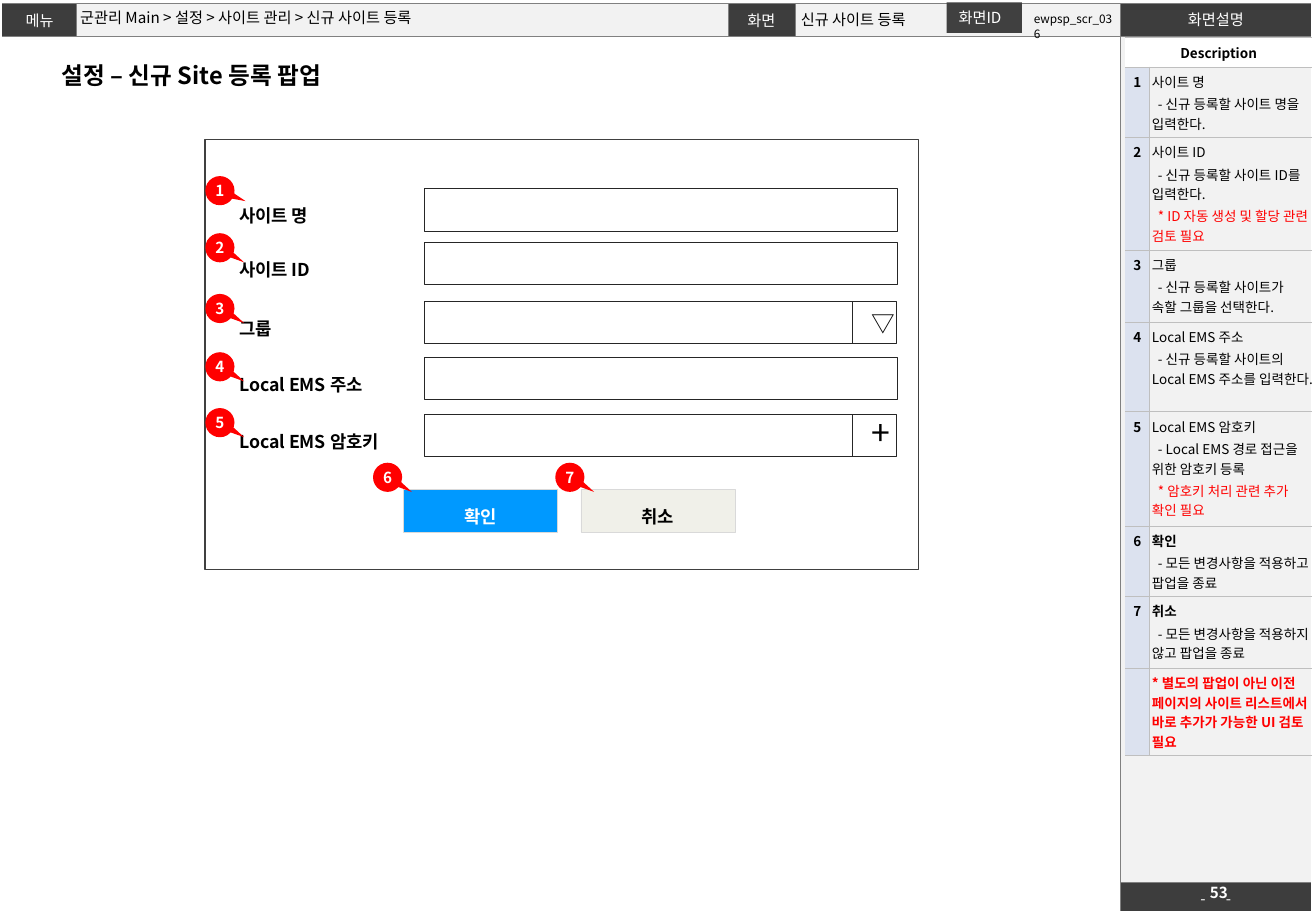
from dataclasses import dataclass

from lxml.etree import SubElement
from pptx import Presentation
from pptx.dml.color import RGBColor
from pptx.enum.shapes import MSO_SHAPE
from pptx.enum.text import MSO_ANCHOR, MSO_AUTO_SIZE, PP_ALIGN
from pptx.oxml.ns import qn
from pptx.util import Inches, Pt


@dataclass(frozen=True)
class Theme:
    font: str = "Noto Sans CJK KR"
    header_font: str = "Arial"
    black: str = "000000"
    white: str = "FFFFFF"
    dark: str = "3D3D3D"
    tag: str = "404040"
    panel: str = "F2F2F2"
    number: str = "DCE2EF"
    red: str = "FF0000"
    confirm: str = "0099FF"
    cancel: str = "F0F0E9"
    frame_line: str = "808080"
    table_line: str = "BFBFBF"
    field_line: str = "262626"
    button_line: str = "D9D9D9"
    id_size: float = 7
    note_size: float = 8
    body_size: float = 9
    label_size: float = 10.5
    title_size: float = 14
    plus_size: float = 20


THEME = Theme()

# Label, field top, callout top, symbol of the end button
FIELDS = [
    ("사이트 명", 1.55, 1.45, None),
    ("사이트 ID", 1.99, 1.92, None),
    ("그룹", 2.48, 2.42, "▽"),
    ("Local EMS 주소", 2.94, 2.90, None),
    ("Local EMS 암호키", 3.41, 3.36, "+"),
]
SYMBOLS = {"▽": (2.49, 0.34, THEME.title_size), "+": (3.34, 0.44, THEME.plus_size)}

# Row height, heading, heading is bold, details
DESCRIPTIONS = [
    (0.58, "사이트 명", False, ["- 신규 등록할 사이트 명을 입력한다."]),
    (0.93, "사이트 ID", False, ["- 신규 등록할 사이트 ID를 입력한다.", "* ID 자동 생성 및 할당 관련 검토 필요"]),
    (0.59, "그룹", False, ["- 신규 등록할 사이트가 속할 그룹을 선택한다."]),
    (0.74, "Local EMS 주소", False, ["- 신규 등록할 사이트의 Local EMS 주소를 입력한다."]),
    (0.94, "Local EMS 암호키", False, ["- Local EMS 경로 접근을 위한 암호키 등록", "* 암호키 처리 관련 추가 확인 필요"]),
    (0.58, "확인", True, ["- 모든 변경사항을 적용하고 팝업을 종료"]),
    (0.59, "취소", True, ["- 모든 변경사항을 적용하지 않고 팝업을 종료"]),
]
CLOSING_NOTE = "* 별도의 팝업이 아닌 이전 페이지의 사이트 리스트에서 바로 추가가 가능한 UI 검토 필요"


def write(paragraph, text, size, color=THEME.black, bold=False, align=None, font=THEME.font):
    paragraph.text = text
    paragraph.alignment = align
    for run in paragraph.runs:
        run.font.size = Pt(size)
        run.font.bold = bold
        run.font.name = font
        run.font.color.rgb = RGBColor.from_string(color)
        SubElement(run.font._element, qn("a:ea"), typeface=font)
    if not text:
        SubElement(paragraph._p, qn("a:endParaRPr"), sz=str(int(size * 100)))


def set_margins(target, horizontal, vertical):
    target.margin_left = target.margin_right = Inches(horizontal)
    target.margin_top = target.margin_bottom = Inches(vertical)


def add_text(slide, box, text, size, margin=None, anchor=MSO_ANCHOR.TOP, grow=False,
             spacing=None, **style):
    shape = slide.shapes.add_textbox(*map(Inches, box))
    frame = shape.text_frame
    frame.word_wrap = True
    frame.vertical_anchor = anchor
    if margin is not None:
        set_margins(frame, margin, 0)
    if grow:
        frame.auto_size = MSO_AUTO_SIZE.SHAPE_TO_FIT_TEXT
    write(frame.paragraphs[0], text, size, **style)
    frame.paragraphs[0].line_spacing = spacing


def add_box(slide, box, fill=None, line=None, line_width=0.25, kind=MSO_SHAPE.RECTANGLE):
    shape = slide.shapes.add_shape(kind, *map(Inches, box))
    shape.shadow.inherit = False
    if fill:
        shape.fill.solid()
        shape.fill.fore_color.rgb = RGBColor.from_string(fill)
    else:
        shape.fill.background()
    if line:
        shape.line.color.rgb = RGBColor.from_string(line)
        shape.line.width = Pt(line_width)
    else:
        shape.line.fill.background()
    shape.text_frame.vertical_anchor = MSO_ANCHOR.TOP
    return shape


def add_table(slide, left, top, widths, heights):
    shape = slide.shapes.add_table(len(heights), len(widths), Inches(left), Inches(top),
                                   Inches(sum(widths)), Inches(sum(heights)))
    table = shape.table
    table.first_row = table.horz_banding = False
    for column, width in zip(table.columns, widths):
        column.width = Inches(width)
    for row, height in zip(table.rows, heights):
        row.height = Inches(height)
    return table


def style_cell(cell, fill, sides, line, margin):
    set_margins(cell, margin, 0.04)
    properties = cell._tc.get_or_add_tcPr()
    for side in "LRTB":
        border = SubElement(properties, qn(f"a:ln{side}"), w=str(Pt(0.25)))
        if side in sides:
            SubElement(SubElement(border, qn("a:solidFill")), qn("a:srgbClr"), val=line)
        else:
            SubElement(border, qn("a:noFill"))
    if fill:
        cell.fill.solid()
        cell.fill.fore_color.rgb = RGBColor.from_string(fill)
    else:
        cell.fill.background()


def add_page_frame(slide):
    table = add_table(slide, 0.02, 0.03, [0.61, 5.36, 0.55, 2.68, 1.57], [0.27, 6.96, 0.24])
    header = ["메뉴", "", "화면", "", "화면설명"]
    for row in range(3):
        for column in range(5):
            cell = table.cell(row, column)
            last = column == 4
            if row == 0:
                text, fill = header[column], THEME.dark if header[column] else THEME.panel
                sides = "LTB" if last else "TRB" if column == 0 else "LTRB"
            elif last:
                text, fill, sides = ("", THEME.panel, "LTB") if row == 1 else ("- -", THEME.dark, "LTB")
            else:
                text, fill, sides = "", THEME.white, "TR" if row == 1 else "RB"
            style_cell(cell, fill, sides, THEME.frame_line, 0.04)
            cell.vertical_anchor = MSO_ANCHOR.MIDDLE
            font = THEME.header_font if text == "화면설명" else THEME.font
            write(cell.text_frame.paragraphs[0], text, THEME.body_size, THEME.white,
                  align=PP_ALIGN.CENTER, font=font)
        if row:
            table.cell(row, 0).merge(table.cell(row, 3))
    # Spread the two dashes around the page number
    dashes = table.cell(2, 4).text_frame.paragraphs[0].runs[0]
    dashes.font._element.set("spc", "500")


def add_descriptions(slide):
    heights = [0.24] + [entry[0] for entry in DESCRIPTIONS] + [0.72]
    table = add_table(slide, 9.26, 0.31, [0.2, 1.34], heights)
    for row in range(len(heights)):
        for column in range(2):
            fill = THEME.white if row == 0 else None if column else THEME.number
            style_cell(table.cell(row, column), fill, "LTB" if row and column else "TB",
                       THEME.table_line, 0.02)
    title = table.cell(0, 0)
    title.merge(table.cell(0, 1))
    title.vertical_anchor = MSO_ANCHOR.MIDDLE
    size = THEME.note_size
    write(title.text_frame.paragraphs[0], "Description", size, bold=True, align=PP_ALIGN.CENTER)
    for row, (_, heading, bold, details) in enumerate(DESCRIPTIONS, 1):
        write(table.cell(row, 0).text_frame.paragraphs[0], str(row), size, bold=True,
              align=PP_ALIGN.CENTER)
        frame = table.cell(row, 1).text_frame
        write(frame.paragraphs[0], heading, size, bold=bold)
        for detail in details:
            paragraph = frame.add_paragraph()
            write(paragraph, detail, size, THEME.red if detail.startswith("*") else THEME.black)
            paragraph.space_before = Pt(1.5)
            paragraph._p.get_or_add_pPr().set("indent", str(Inches(0.05)))
    write(table.cell(len(heights) - 1, 1).text_frame.paragraphs[0], CLOSING_NOTE, size,
          THEME.red, bold=True)


def add_header_texts(slide):
    middle = MSO_ANCHOR.MIDDLE
    add_text(slide, (9.78, 7.25, 0.5, 0.19), "53", THEME.body_size, margin=0, anchor=middle,
             color=THEME.white, bold=True, align=PP_ALIGN.CENTER)
    add_text(slide, (0.66, 0.07, 5.28, 0.15), "군관리 Main > 설정 > 사이트 관리 > 신규 사이트 등록",
             THEME.body_size, margin=0, anchor=middle)
    add_text(slide, (6.59, 0.05, 1.35, 0.22), "신규 사이트 등록", THEME.body_size,
             margin=0, anchor=middle)
    tag = add_box(slide, (7.79, 0.02, 0.62, 0.25), THEME.tag)
    write(tag.text_frame.paragraphs[0], "화면ID", THEME.body_size, THEME.white, align=PP_ALIGN.LEFT)
    add_text(slide, (8.41, 0.05, 0.87, 0.22), "ewpsp_scr_036", THEME.id_size, grow=True)
    add_text(slide, (0.41, 0.45, 3.35, 0.34), "설정 – 신규 Site 등록 팝업", THEME.title_size,
             grow=True, bold=True)


def add_field(slide, label, top, symbol):
    add_text(slide, (1.87, top, 1.46, 0.35), label, THEME.label_size, spacing=1.5, bold=True)
    add_box(slide, (3.49, top, 3.52 if symbol else 3.89, 0.35), THEME.white, THEME.field_line)
    if symbol:
        add_box(slide, (7.01, top, 0.37, 0.35), line=THEME.field_line)
        symbol_top, height, size = SYMBOLS[symbol]
        add_text(slide, (7.07, symbol_top, 0.24, height), symbol, size, anchor=MSO_ANCHOR.MIDDLE,
                 grow=True, align=PP_ALIGN.CENTER)


def add_button(slide, left, text, fill, color):
    paragraph = add_box(slide, (left, 4.03, 1.27, 0.35), fill, THEME.button_line).text_frame.paragraphs[0]
    write(paragraph, text, THEME.label_size, color, bold=True, align=PP_ALIGN.CENTER)
    paragraph.line_spacing = 1.5


def add_callout(slide, number, left, top):
    shape = add_box(slide, (left, top, 0.24, 0.24), THEME.red, kind=MSO_SHAPE.OVAL_CALLOUT)
    shape.adjustments[0], shape.adjustments[1] = (0.88, 0.36) if number == 1 else (0.83, 0.5)
    set_margins(shape.text_frame, 0, 0.05)
    shape.text_frame.vertical_anchor = MSO_ANCHOR.MIDDLE
    write(shape.text_frame.paragraphs[0], str(number), THEME.body_size, THEME.white, bold=True,
          align=PP_ALIGN.CENTER)


def main():
    presentation = Presentation()
    presentation.slide_width, presentation.slide_height = Inches(10.83), Inches(7.5)
    slide = presentation.slides.add_slide(presentation.slide_layouts[6])

    # Page frame and description column
    add_page_frame(slide)
    add_header_texts(slide)
    add_descriptions(slide)

    # Popup with its fields and buttons
    add_box(slide, (1.69, 1.15, 5.87, 3.54), THEME.white, THEME.tag, 1)
    for label, top, _, symbol in FIELDS:
        add_field(slide, label, top, symbol)
    add_button(slide, 3.32, "확인", THEME.confirm, THEME.white)
    add_button(slide, 4.78, "취소", THEME.cancel, THEME.black)

    # Numbered callouts
    places = [(1.69, field[2]) for field in FIELDS] + [(3.07, 3.81), (4.57, 3.81)]
    for number, (left, top) in enumerate(places, 1):
        add_callout(slide, number, left, top)

    presentation.save("out.pptx")


if __name__ == "__main__":
    main()
